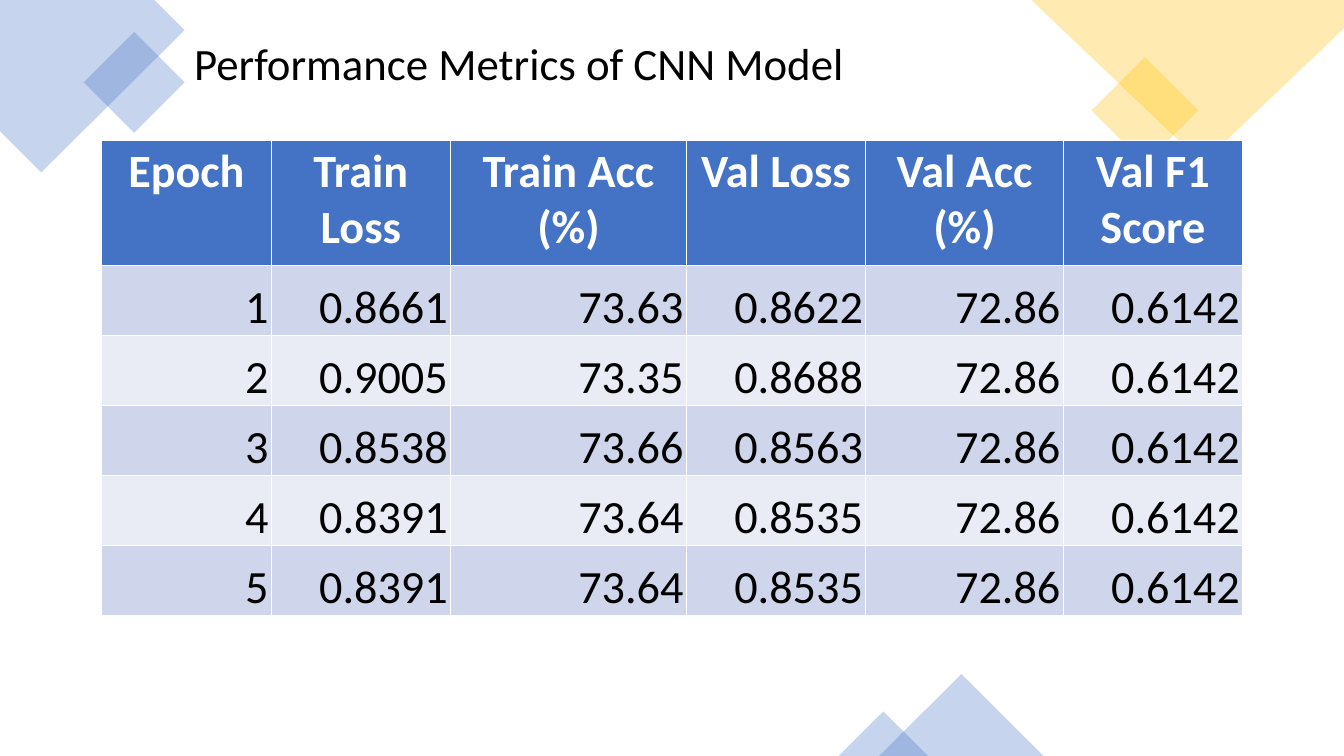
import math
from dataclasses import dataclass

from lxml import etree
from pptx import Presentation
from pptx.dml.color import RGBColor
from pptx.enum.shapes import MSO_SHAPE
from pptx.enum.text import MSO_ANCHOR, MSO_AUTO_SIZE, PP_ALIGN
from pptx.oxml.ns import qn
from pptx.util import Pt

RECTANGLE, TRIANGLE = MSO_SHAPE.RECTANGLE, MSO_SHAPE.ISOSCELES_TRIANGLE
TOP, BOTTOM = MSO_ANCHOR.TOP, MSO_ANCHOR.BOTTOM
CENTER, RIGHT = PP_ALIGN.CENTER, PP_ALIGN.RIGHT
FIT_SHAPE = MSO_AUTO_SIZE.SHAPE_TO_FIT_TEXT


@dataclass(frozen=True)
class Theme:
    """Colours, font and type sizes of the slide."""
    blue: str = "4472C4"
    yellow: str = "FFC000"
    white: str = "FFFFFF"
    black: str = "000000"
    bands: tuple = ("CFD5EA", "E9EBF5")
    font: str = "Calibri"
    title_size: float = 32
    table_size: float = 33
    opacity: int = 30


class SlideBuilder:
    """Draws styled elements on one slide."""

    def __init__(self, slide, theme):
        self.slide = slide
        self.theme = theme

    def tint(self, shape, color):
        """Give a shape a translucent fill without line or shadow."""
        shape.shadow.inherit = False
        shape.line.fill.background()
        shape.fill.solid()
        shape.fill.fore_color.rgb = RGBColor.from_string(color)
        color_element = shape.fill._xPr.find(".//" + qn("a:srgbClr"))
        alpha = etree.SubElement(color_element, qn("a:alpha"))
        alpha.set("val", str(self.theme.opacity * 1000))

    def preset(self, kind, left, top, width, height, color, rotation=0):
        """Add a translucent preset shape."""
        shape = self.slide.shapes.add_shape(kind, Pt(left), Pt(top), Pt(width), Pt(height))
        shape.rotation = rotation
        self.tint(shape, color)

    def outline(self, corners, center, rotation, color):
        """Add a rotated polygon whose corners are given as they appear on the slide."""
        center_x, center_y = center
        cosine, sine = math.cos(math.radians(-rotation)), math.sin(math.radians(-rotation))
        points = [
            (Pt(center_x + (x - center_x) * cosine - (y - center_y) * sine),
             Pt(center_y + (x - center_x) * sine + (y - center_y) * cosine))
            for x, y in corners
        ]
        builder = self.slide.shapes.build_freeform(*points[0])
        builder.add_line_segments(points[1:], close=True)
        shape = builder.convert_to_shape()
        shape.rotation = rotation
        self.tint(shape, color)

    def style_paragraph(self, paragraph, size, color, bold=False):
        """Set the font of a paragraph."""
        font = paragraph.font
        font.name, font.size, font.bold = self.theme.font, Pt(size), bold
        font.color.rgb = RGBColor.from_string(color)

    def title(self, text, left, top, width, height):
        """Add the slide title."""
        box = self.slide.shapes.add_textbox(Pt(left), Pt(top), Pt(width), Pt(height))
        frame = box.text_frame
        frame.word_wrap = True
        frame.auto_size = FIT_SHAPE
        frame.text = text
        self.style_paragraph(frame.paragraphs[0], self.theme.title_size, self.theme.black)

    def cell(self, cell, text, row_index):
        """Fill one table cell in header or banded style."""
        theme = self.theme
        header = row_index == 0
        fill = theme.blue if header else theme.bands[(row_index - 1) % 2]
        cell.fill.solid()
        cell.fill.fore_color.rgb = RGBColor.from_string(fill)
        cell.margin_left = cell.margin_right = cell.margin_top = Pt(2)
        cell.margin_bottom = Pt(0)
        cell.vertical_anchor = TOP if header else BOTTOM
        cell.text = text
        paragraph = cell.text_frame.paragraphs[0]
        paragraph.alignment = CENTER if header else RIGHT
        self.style_paragraph(paragraph, theme.table_size, theme.white if header else theme.black, header)

    def table(self, rows, left, top, column_widths, row_heights):
        """Add the table of metrics."""
        table = self.slide.shapes.add_table(
            len(rows), len(column_widths), Pt(left), Pt(top),
            Pt(sum(column_widths)), Pt(sum(row_heights))).table
        for column, width in zip(table.columns, column_widths):
            column.width = Pt(width)
        for row, height in zip(table.rows, row_heights):
            row.height = Pt(height)
        for row_index, values in enumerate(rows):
            for column_index, text in enumerate(values):
                self.cell(table.cell(row_index, column_index), text, row_index)


METRICS = [
    ("Epoch", "Train Loss", "Train Acc (%)", "Val Loss", "Val Acc (%)", "Val F1 Score"),
    ("1", "0.8661", "73.63", "0.8622", "72.86", "0.6142"),
    ("2", "0.9005", "73.35", "0.8688", "72.86", "0.6142"),
    ("3", "0.8538", "73.66", "0.8563", "72.86", "0.6142"),
    ("4", "0.8391", "73.64", "0.8535", "72.86", "0.6142"),
    ("5", "0.8391", "73.64", "0.8535", "72.86", "0.6142"),
]


def main():
    """Build and save the slide."""
    presentation = Presentation()
    presentation.slide_width, presentation.slide_height = Pt(960), Pt(540)
    theme = Theme()
    builder = SlideBuilder(presentation.slides.add_slide(presentation.slide_layouts[6]), theme)

    top_left = [(110.2, 0), (0, 0), (0, 93.6), (29.5, 123.1), (131.8, 21.6)]
    builder.outline(top_left, (42.5, 34.2), 315, theme.blue)
    builder.preset(RECTANGLE, 70.4, 33.3, 51, 51, theme.blue, 315)
    builder.preset(RECTANGLE, 790.8, 51.8, 54, 54, theme.yellow, 315)
    top_right = [(960, 0), (736.6, 0), (859, 116.6), (960, 20.2)]
    builder.outline(top_right, (848.3, 58.3), 180, theme.yellow)
    builder.preset(TRIANGLE, 628, 481.5, 117.4, 58.5, theme.blue)
    builder.preset(TRIANGLE, 599, 508.2, 64, 31.8, theme.blue)

    column_widths = [121, 128.2, 168.4, 128.2, 141, 128.2]
    row_heights = [89.7] + [50] * (len(METRICS) - 1)
    builder.table(METRICS, 72.7, 100.2, column_widths, row_heights)
    builder.title("Performance Metrics of CNN Model", 131.6, 22.3, 482.4, 46)
    presentation.save("out.pptx")


if __name__ == "__main__":
    main()
